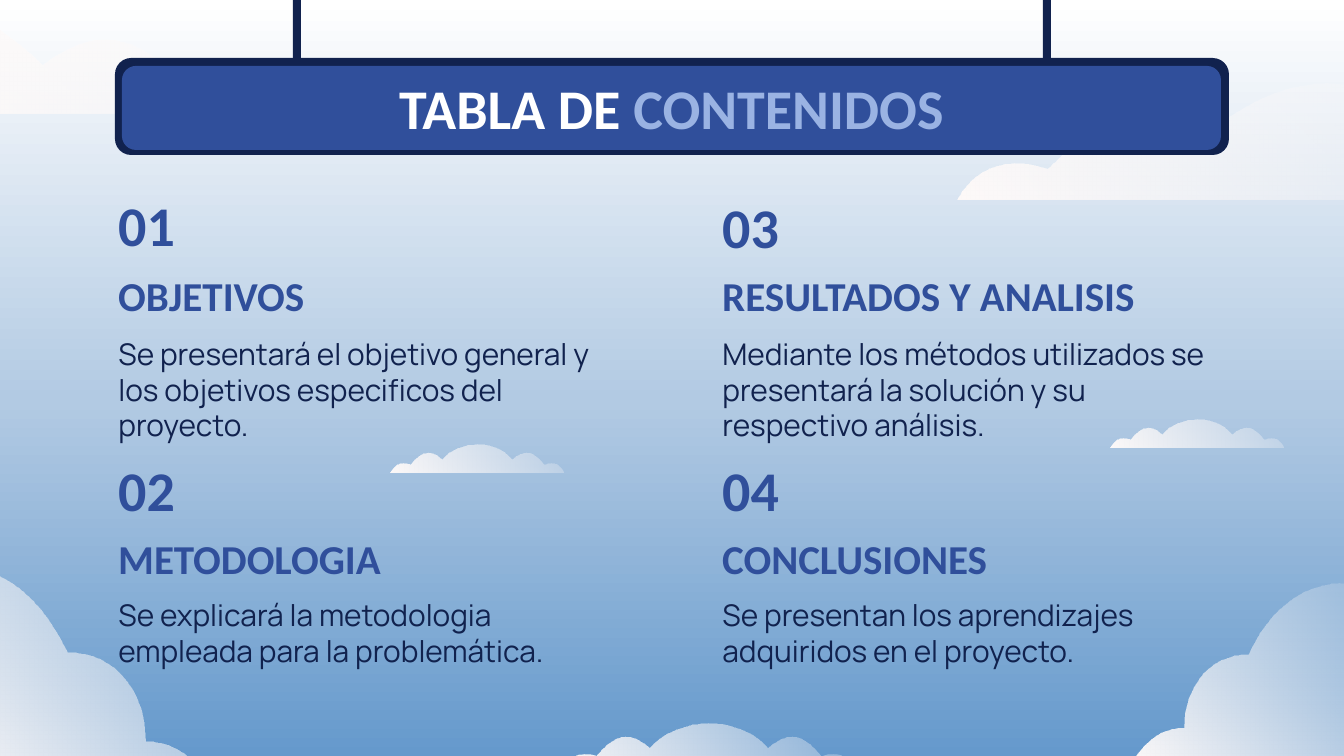
"""Build the table of contents slide with a hanging board and clouds."""
from lxml import etree
from pptx import Presentation
from pptx import util as u
from pptx.dml.color import RGBColor
from pptx.enum import shapes, text
from pptx.oxml.ns import nsdecls, qn

PX = 914400 / 134.4
NAVY = RGBColor(0x11, 0x22, 0x4E)
BLUE = RGBColor(0x30, 0x4F, 0x9B)
PALE = RGBColor(0x9A, 0xB3, 0xE3)
WHITE = RGBColor(0xFF, 0xFF, 0xFF)
CREAM = RGBColor(0xFE, 0xFA, 0xF9)
SKY = [(0, RGBColor(0x65, 0x99, 0xCC), 100),
       (47, RGBColor(0xB2, 0xCA, 0xE3), 100), (100, WHITE, 100)]
MIST = [(0, CREAM, 19), (100, CREAM, 100)]

TITLE = [("TABLA DE ", WHITE), ("CONTENIDOS", PALE)]
ITEMS = [
    ("01", "OBJETIVOS", "Se presentará el objetivo general y los objetivos especificos del proyecto."),
    ("02", "METODOLOGIA", "Se explicará la metodologia empleada para la problemática."),
    ("03", "RESULTADOS Y ANALISIS", "Mediante los métodos utilizados se presentará la solución y su respectivo análisis."),
    ("04", "CONCLUSIONES", "Se presentan los aprendizajes adquiridos en el proyecto."),
]
COLS = [105, 709]
ROWS = [(194, 257, 322, 82), (459, 520, 583, 85)]
DROP = [0, 2]

BIG = dict(size=u.Pt(30), name="Calibri", bold=True)
HEAD = dict(size=u.Pt(22), name="Calibri", bold=True)
BODY = dict(size=u.Pt(16), name="Manrope", bold=False)
TOP, MID = text.MSO_ANCHOR.TOP, text.MSO_ANCHOR.MIDDLE
LEFT, CENTER = text.PP_ALIGN.LEFT, text.PP_ALIGN.CENTER

BOARD = [(115, 58, 1114, 97, NAVY), (122, 66, 1099, 84, BLUE),
         (1043, -36, 8, 98, NAVY), (293, -36, 8, 98, NAVY)]

HALF = [(146, 0), (124, 0), (101, 8), (87, 24), (78, 16), (70, 13), (63, 13),
        (51, 13), (42, 23), (34, 32), (30, 31), (26, 30), (22, 30),
        (5, 30), (0, 46), (0, 46)]
HILL = [(0, 12), (0, 12), (71, 0), (117, 98), (167, 98), (195, 140),
        (195, 187), (240, 187), (258, 230), (258, 230)]
BANK = [(0, 19), (0, 19), (71, 0), (156, 85), (222, 35), (261, 68),
        (296, 103), (364, 80), (386, 134), (386, 134)]


def flip(pts, wide):
    """Mirror points left to right within a width."""
    return [(wide - x, y) for x, y in pts]


def shade(owner, stops, ang):
    """Give a fill owner a linear gradient."""
    owner.fill.gradient()
    root = owner._element if hasattr(owner, "_element") else owner._cSld
    old = next(root.iter(qn("a:gradFill")))
    marks = "".join(
        f'<a:gs pos="{pos * 1000}"><a:srgbClr val="{hue}">'
        f'<a:alpha val="{alpha * 1000}"/></a:srgbClr></a:gs>'
        for pos, hue, alpha in stops)
    new = etree.fromstring(
        f'<a:gradFill {nsdecls("a")} rotWithShape="1"><a:gsLst>{marks}</a:gsLst>'
        f'<a:lin ang="{ang * 60000}" scaled="0"/></a:gradFill>')
    old.getparent().replace(old, new)


def bend(shape, chains):
    """Turn the segments inside each chain into cubic curves."""
    lines = list(shape._element.iter(qn("a:lnTo")))
    at = 0
    for i, chain in enumerate(chains):
        at += 1 if i else 0
        for _ in range(len(chain) // 3):
            first, *rest = lines[at:at + 3]
            cubic = etree.Element(qn("a:cubicBezTo"))
            first.addprevious(cubic)
            for line in (first, *rest):
                cubic.append(line[0])
                line.getparent().remove(line)
            at += 3


def cloud(slide, chains, left, top, scale=1):
    """Draw a closed misty outline of curve chains joined by lines."""
    pts = [((left + x * scale) * PX, (top + y * scale) * PX)
           for chain in chains for x, y in chain]
    form = slide.shapes.build_freeform(*pts[0], scale=1.0)
    form.add_line_segments(pts[1:], close=True)
    shape = form.convert_to_shape()
    bend(shape, chains)
    shape.shadow.inherit = False
    shape.line.fill.background()
    shade(shape, MIST, 135)


def place(shape, box):
    """Set position and size from px."""
    for key, val in zip(("left", "top", "width", "height"), box):
        setattr(shape, key, u.Emu(round(val * PX)))


def write(shape, box, runs, form, anchor=TOP, align=LEFT):
    """Place a text holder and fill it with coloured runs."""
    place(shape, box)
    frame = shape.text_frame
    pad = u.Inches(0.1)
    look = dict(word_wrap=True, auto_size=text.MSO_AUTO_SIZE.NONE,
                vertical_anchor=anchor, margin_left=pad, margin_right=pad,
                margin_top=pad, margin_bottom=pad)
    for key, val in look.items():
        setattr(frame, key, val)
    para = frame.paragraphs[0]
    for key, val in dict(alignment=align, space_before=u.Pt(0), line_spacing=1.0).items():
        setattr(para, key, val)
    if shape.is_placeholder:
        props = para._p.get_or_add_pPr()
        props.set("marL", "0")
        props.set("indent", "0")
        etree.SubElement(props, qn("a:buNone"))
    for words, hue in runs:
        run = para.add_run()
        run.text = words
        for key, val in form.items():
            setattr(run.font, key, val)
        run.font.color.rgb = hue


def main():
    """Lay out the slide and save it."""
    deck = Presentation()
    deck.slide_width, deck.slide_height = (u.Emu(round(n * PX)) for n in (1344, 756))
    slide = deck.slides.add_slide(deck.slide_layouts[4])
    shade(slide.background, SKY, 270)
    title, *bodies = list(slide.placeholders)

    puff = [HALF, flip(HALF[::-1], 292)]
    hill = [HILL, [(0, 230)]]
    bank = [BANK, [(0, 134)]]
    for spot in ((puff, 563, 724), (hill, -50, 554),
                 ([flip(c, 258) for c in hill], 1133, 574, 0.82),
                 ([flip(c, 386) for c in bank], 958, 66), (bank, -114, -20)):
        cloud(slide, *spot)

    for *box, hue in BOARD:
        part = slide.shapes.add_shape(shapes.MSO_SHAPE.ROUNDED_RECTANGLE, 0, 0, 0, 0)
        place(part, box)
        part.shadow.inherit = False
        part.fill.solid()
        part.fill.fore_color.rgb = hue
        part.line.fill.background()

    for i, (num, head, note) in enumerate(ITEMS):
        col, row = divmod(i, 2)
        left, (high, mid, low, tall) = COLS[col], ROWS[row]
        high += 0 if row else DROP[col]
        for words, top, wide, form, anchor in (
                (num, high, 137, BIG, MID), (head, mid, 544, HEAD, TOP)):
            label = slide.shapes.add_textbox(0, 0, 0, 0)
            write(label, (left, top, wide, 60), [(words, BLUE)], form, anchor)
        write(bodies[i], (left, low, 528, tall), [(note, NAVY)], BODY)

    write(title, (79, 65, 1185, 85), TITLE, BIG, MID, CENTER)
    for holder in (title, *bodies):
        slide.shapes._spTree.append(holder._element)
    for left, top in ((391, 445), (1111, 420)):
        cloud(slide, puff, left, top, 0.59)
    deck.save("out.pptx")


if __name__ == "__main__":
    main()
